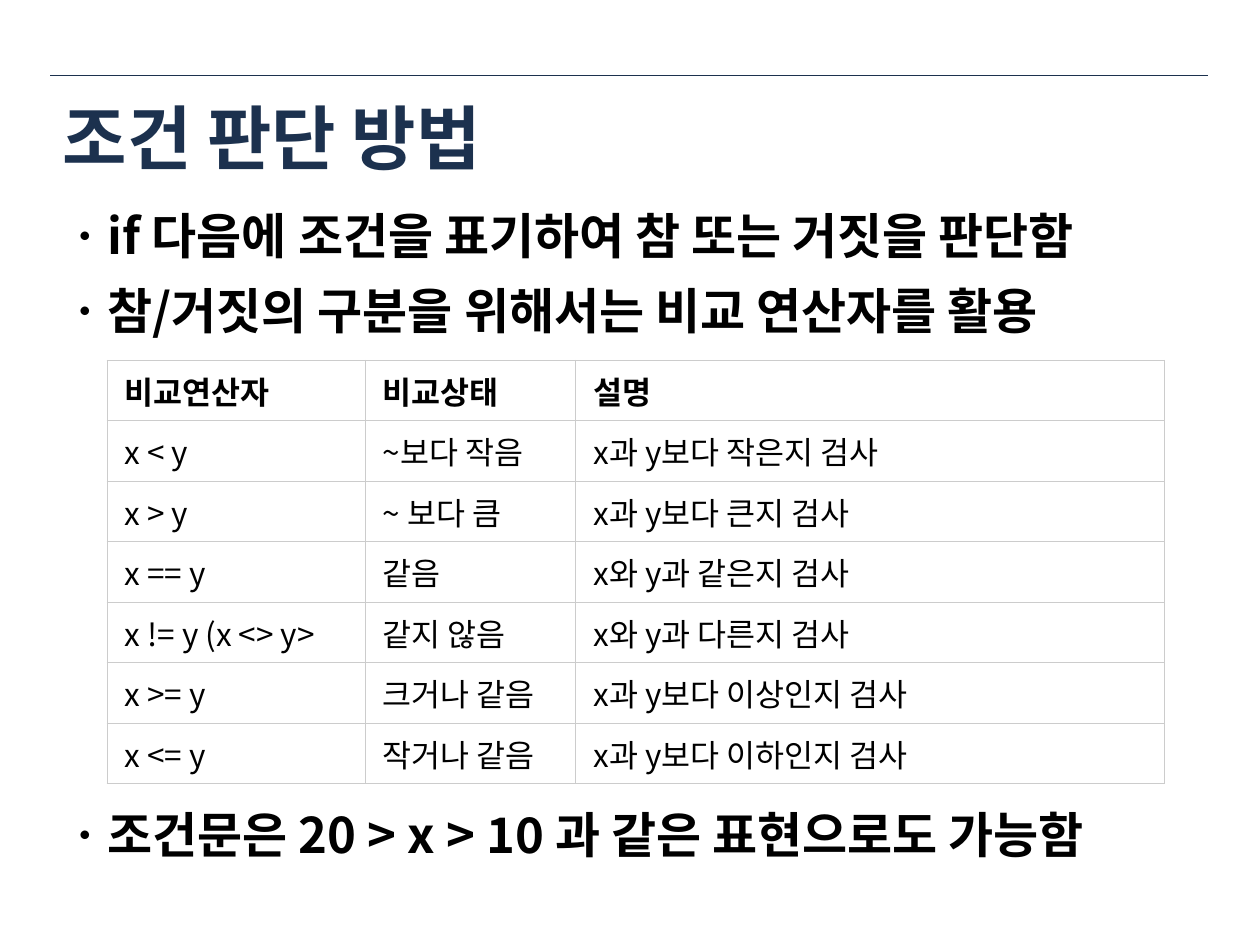
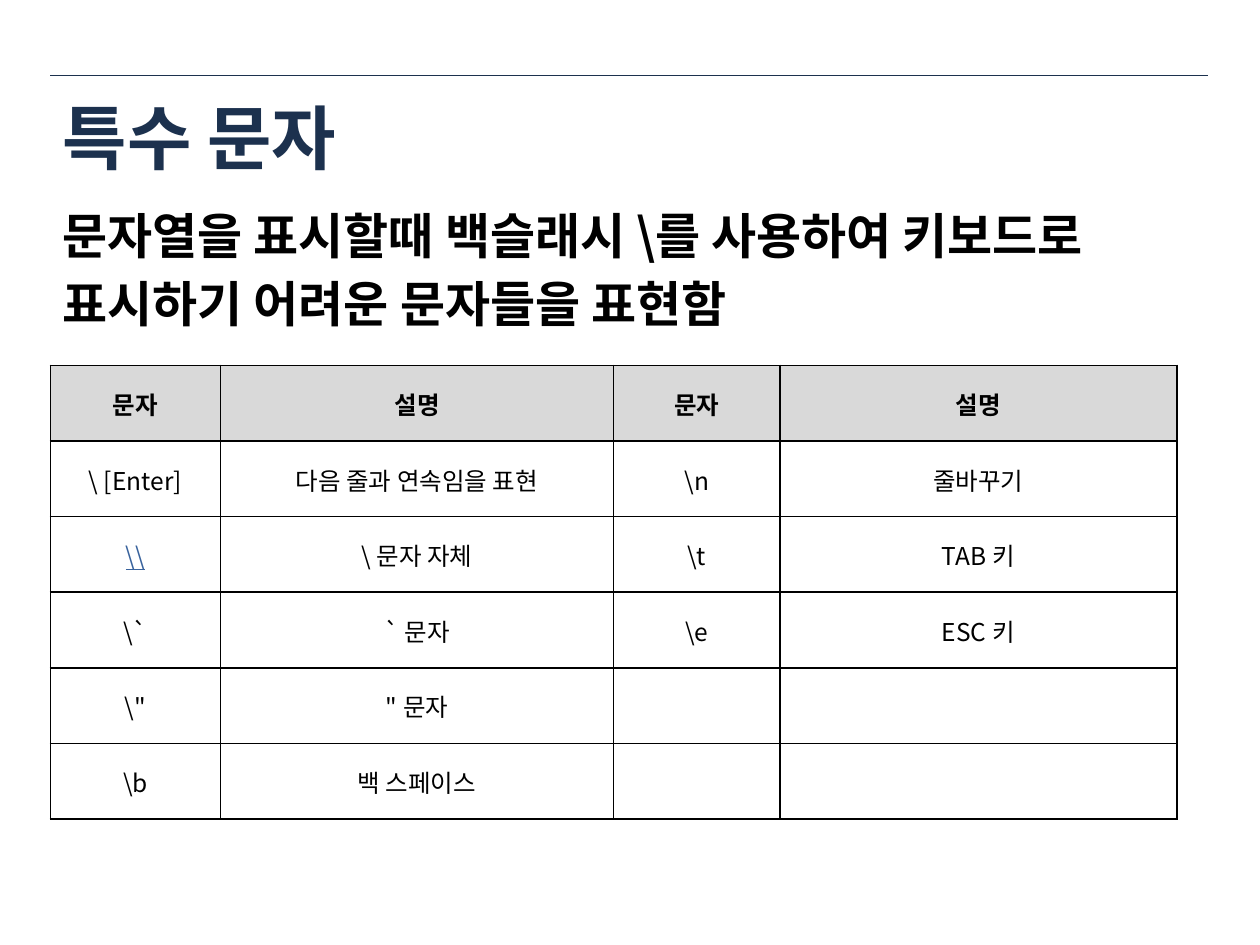
"""Build two Korean lesson slides on condition operators and special characters."""
from dataclasses import dataclass

from lxml.etree import SubElement
from pptx import Presentation
from pptx.dml.color import RGBColor as Color
from pptx.enum.shapes import MSO_CONNECTOR as Connector
from pptx.enum.text import MSO_ANCHOR as Anchor, PP_ALIGN as Align
from pptx.oxml import parse_xml
from pptx.oxml.ns import nsdecls, qn
from pptx.util import Inches, Pt


@dataclass(frozen=True)
class Theme:
    navy: str = "1C314E"
    black: str = "000000"
    white: str = "FFFFFF"
    header_gray: str = "D9D9D9"
    border_gray: str = "CCCCCC"
    link_blue: str = "39639D"
    title_font: str = "Arial"
    body_font: str = "Noto Sans CJK KR"
    title_size: int = 40
    body_size: int = 28
    body_line: int = 33
    operator_size: int = 18
    escape_size: int = 14


theme = Theme()


def write(paragraph, text, color, font_formats, paragraph_formats):
    for name, value in paragraph_formats.items():
        setattr(paragraph, name, value)
    run = paragraph.add_run()
    run.text = text
    for name, value in font_formats.items():
        setattr(run.font, name, value)
    run.font.color.rgb = Color.from_string(color)
    SubElement(run.font._element, qn("a:ea"), typeface=theme.body_font)


def add_text_box(slide, position, anchor, margin_top):
    frame = slide.shapes.add_textbox(*map(Inches, position)).text_frame
    formats = {"word_wrap": True, "vertical_anchor": anchor, "margin_top": Inches(margin_top)}
    for name, value in formats.items():
        setattr(frame, name, value)
    return frame


lessons = [
    {
        "title": "조건 판단 방법",
        "body_height": 5.46,
        "space_after": 10,
        "body": [
            ("ㆍif 다음에 조건을 표기하여 참 또는 거짓을 판단함", 0),
            ("ㆍ참/거짓의 구분을 위해서는 비교 연산자를 활용", 0),
            ("ㆍ조건문은 20 > x > 10 과 같은 표현으로도 가능함", 256),
        ],
        "table_at": (0.85, 2.86),
        "columns": (2.05, 1.67, 4.67),
        "row_height": 0.48,
        "margins": (0.14, 0.06, 0.14, 0.06),
        "border": (theme.border_gray, 0.75),
        "header_fill": theme.white,
        "size": theme.operator_size,
        "align": Align.LEFT,
        "rows": [
            ("비교연산자", "비교상태", "설명"),
            ("x < y", "~보다 작음", "x과 y보다 작은지 검사"),
            ("x > y", "~ 보다 큼", "x과 y보다 큰지 검사"),
            ("x == y", "같음", "x와 y과 같은지 검사"),
            ("x != y (x <> y>", "같지 않음", "x와 y과 다른지 검사"),
            ("x >= y", "크거나 같음", "x과 y보다 이상인지 검사"),
            ("x <= y", "작거나 같음", "x과 y보다 이하인지 검사"),
        ],
    },
    {
        "title": "특수 문자",
        "body_height": 1.13,
        "space_after": 6,
        "body": [
            ("문자열을 표시할때 백슬래시 \\를 사용하여 키보드로", 0),
            ("표시하기 어려운 문자들을 표현함", 0),
        ],
        "table_at": (0.4, 2.9),
        "columns": (1.35, 3.12, 1.32, 3.15),
        "row_height": 0.6,
        "margins": (0.01, 0.01, 0.01, 0),
        "border": (theme.black, 1),
        "header_fill": theme.header_gray,
        "size": theme.escape_size,
        "align": Align.CENTER,
        "rows": [
            ("문자", "설명", "문자", "설명"),
            ("\\ [Enter]", "다음 줄과 연속임을 표현", "\\n", "줄바꾸기"),
            ("\\\\", "\\ 문자 자체", "\\t", "TAB 키"),
            ("\\`", "` 문자", "\\e", "ESC 키"),
            ("\\\"", "\" 문자", "", ""),
            ("\\b", "백 스페이스", "", ""),
        ],
    },
]

presentation = Presentation()
presentation.slide_width = Inches(10)
presentation.slide_height = Inches(7.5)

for lesson in lessons:
    slide = presentation.slides.add_slide(presentation.slide_layouts[6])

    rule_ends = map(Inches, (0.4, 0.6, 9.59, 0.6))
    rule = slide.shapes.add_connector(Connector.STRAIGHT, *rule_ends)
    rule.line.color.rgb = Color.from_string(theme.navy)
    rule.line.width = Pt(0.25)
    SubElement(rule._element.spPr, qn("a:effectLst"))

    title_frame = add_text_box(slide, (0.4, 0.62, 9.18, 0.93), Anchor.MIDDLE, 0.05)
    title_formats = {"name": theme.title_font, "size": Pt(theme.title_size), "bold": True}
    write(title_frame.paragraphs[0], lesson["title"], theme.navy, title_formats, {})

    body_frame = add_text_box(slide, (0.4, 1.55, 9.6, lesson["body_height"]), Anchor.TOP, 0.09)
    body_formats = {"name": theme.body_font, "size": Pt(theme.body_size), "bold": True}
    for index, (text, space_before) in enumerate(lesson["body"]):
        paragraph = body_frame.add_paragraph() if index else body_frame.paragraphs[0]
        spacing = {
            "line_spacing": Pt(theme.body_line),
            "space_before": Pt(space_before),
            "space_after": Pt(lesson["space_after"]),
        }
        write(paragraph, text, theme.black, body_formats, spacing)

    rows, columns = lesson["rows"], lesson["columns"]
    left, top = lesson["table_at"]
    table_size = (sum(columns), lesson["row_height"] * len(rows))
    table = slide.shapes.add_table(
        len(rows), len(columns), *map(Inches, (left, top, *table_size))
    ).table
    table.first_row = table.horz_banding = False
    for column, width in zip(table.columns, columns):
        column.width = Inches(width)

    border_color, border_width = lesson["border"]
    sides = ("left", "top", "right", "bottom")
    for row_index, row in enumerate(rows):
        table.rows[row_index].height = Inches(lesson["row_height"])
        is_header = row_index == 0
        for column_index, text in enumerate(row):
            cell = table.cell(row_index, column_index)
            cell.vertical_anchor = Anchor.MIDDLE
            for side, margin in zip(sides, lesson["margins"]):
                setattr(cell, f"margin_{side}", Inches(margin))
            cell.fill.solid()
            fill_color = lesson["header_fill"] if is_header else theme.white
            cell.fill.fore_color.rgb = Color.from_string(fill_color)
            cell_properties = cell._tc.get_or_add_tcPr()
            for order, tag in enumerate(("lnL", "lnR", "lnT", "lnB")):
                cell_properties.insert(order, parse_xml(
                    f'<a:{tag} {nsdecls("a")} w="{Pt(border_width)}"><a:solidFill>'
                    f'<a:srgbClr val="{border_color}"/></a:solidFill></a:{tag}>'
                ))
            if text:
                is_link = text == "\\\\"
                cell_formats = {
                    "name": theme.body_font,
                    "size": Pt(lesson["size"]),
                    "bold": is_header,
                    "underline": is_link,
                }
                color = theme.link_blue if is_link else theme.black
                paragraph = cell.text_frame.paragraphs[0]
                write(paragraph, text, color, cell_formats, {"alignment": lesson["align"]})

presentation.save("out.pptx")
